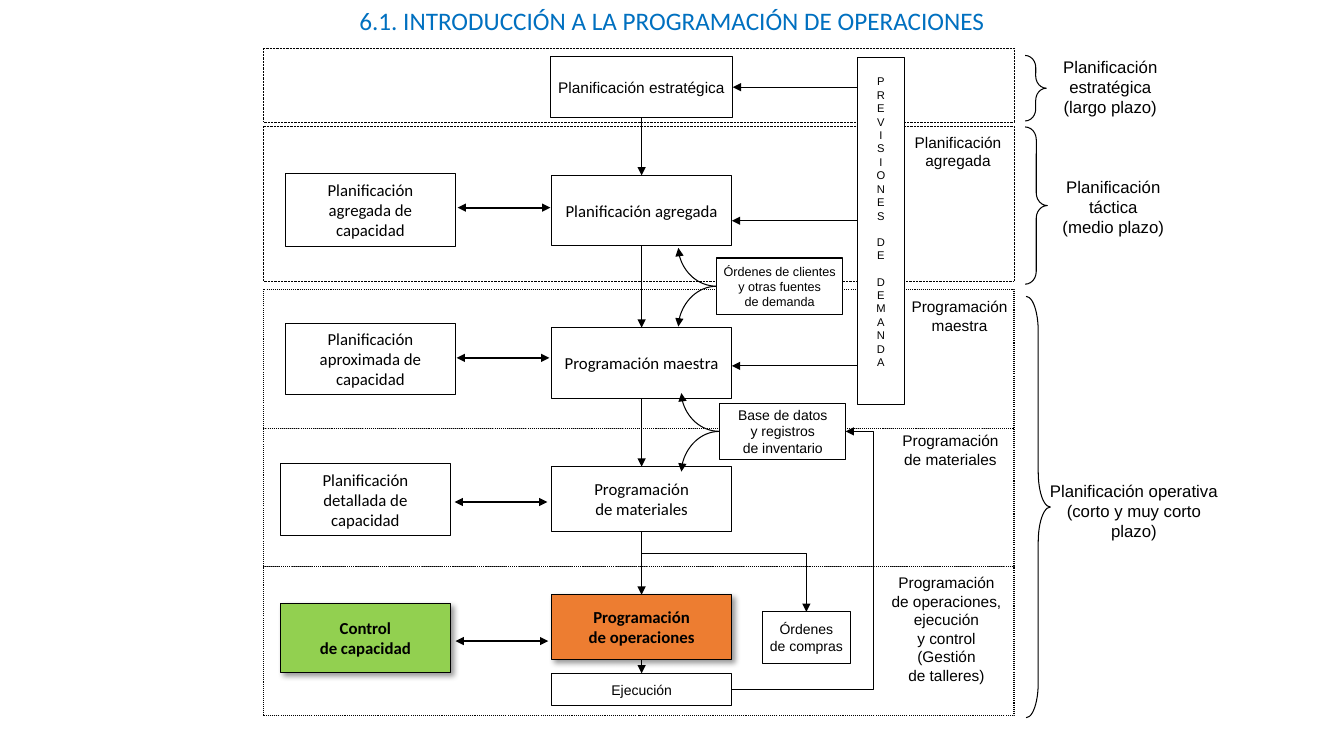
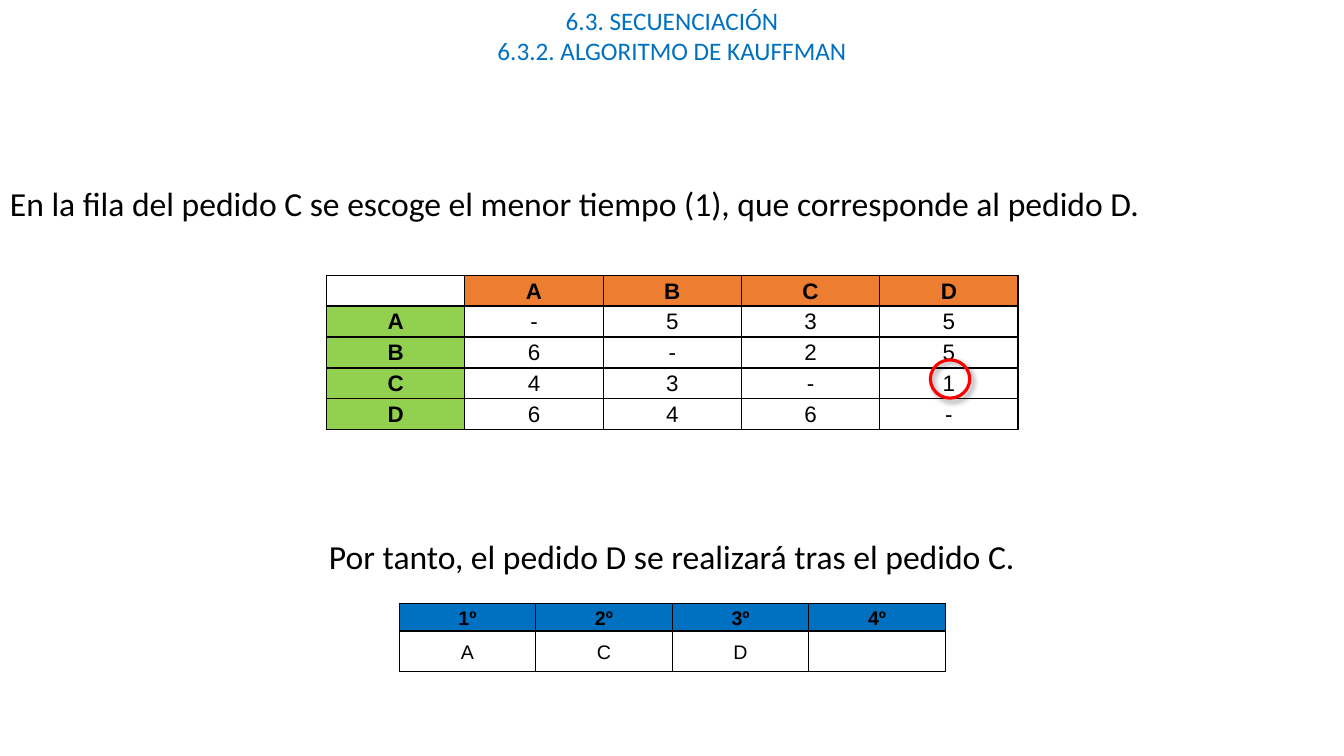
from dataclasses import dataclass
from typing import Any, Optional

from lxml import etree
from pptx import Presentation, util as u
from pptx.dml.color import RGBColor
from pptx.enum import dml, shapes, text
from pptx.oxml import ns

# All lengths are columns and rows of a grid with ten cells to the inch.
CELL = u.Inches(0.1)
COLUMNS, ROWS = 133.33, 75
TRUNK = 63.65  # column of the vertical flow


@dataclass(frozen=True)
class Theme:
    blue: str = "0070C0"
    orange: str = "ED7D31"
    green: str = "92D050"
    red: str = "FF0000"
    ink: str = "000000"
    paper: str = "FFFFFF"
    sans: str = "Calibri"
    plain: str = "Arial"
    title: int = 18
    statement: int = 24
    step: int = 12
    label: int = 11
    detail: int = 10
    note: int = 9
    letter: int = 8
    thin: float = 0.75
    thick: float = 1.5


THEME = Theme()


@dataclass(frozen=True)
class Area:
    left: float
    top: float
    width: float
    height: float

    def emu(self) -> list[int]:
        return [grid(n) for n in (self.left, self.top, self.width, self.height)]


@dataclass(frozen=True)
class Band:
    top: float
    height: float
    weight: float = THEME.thin
    label: str = ""
    label_area: Optional[Area] = None


@dataclass(frozen=True)
class Step:
    key: str
    words: str
    area: Area
    font: str = THEME.sans
    size: int = THEME.step
    fill: str = THEME.paper
    raised: bool = False


@dataclass(frozen=True)
class Horizon:
    brace: Area
    curl: float
    words: str
    area: Area


@dataclass(frozen=True)
class Arrow:
    start: tuple[float, float]
    end: tuple[float, float]
    preset: str = "line"
    bend: Optional[int] = None
    double: bool = False


BANDS = [
    Band(4.8, 7.3, 0.5),
    Band(12.5, 15.4, 0.5, "Planificación\nagregada", Area(89.7, 12.7, 10.7, 4.7)),
    Band(28.7, 13.8, label="Programación\nmaestra", label_area=Area(89.4, 29, 11.6, 4.7)),
    Band(42.5, 13.7, label="Programación\nde materiales", label_area=Area(88.5, 42.3, 11.6, 4.7)),
    Band(56.2, 14.8, label="Programación\nde operaciones,\nejecución\ny control\n(Gestión\nde talleres)",
         label_area=Area(87.4, 56.4, 13, 12.1)),
]

STEPS = [
    Step("strategy", "Planificación estratégica", Area(54.6, 5.6, 18.1, 6.1), THEME.plain, THEME.label),
    Step("aggregate", "Planificación agregada", Area(54.7, 17.4, 17.9, 7)),
    Step("master", "Programación maestra", Area(54.7, 32.5, 17.9, 7)),
    Step("materials", "Programación\nde materiales", Area(54.7, 46.3, 17.9, 6.4)),
    Step("operations", "Programación\nde operaciones", Area(54.7, 59, 17.9, 6.4),
         fill=THEME.orange, raised=True),
    Step("execution", "Ejecución", Area(54.7, 66.8, 17.9, 3.2), THEME.plain, THEME.detail),
    Step("aggregate capacity", "Planificación\nagregada de\ncapacidad", Area(28.3, 17.2, 16.9, 7.3)),
    Step("rough capacity", "Planificación\naproximada de\ncapacidad", Area(28.3, 32.1, 16.9, 7)),
    Step("detailed capacity", "Planificación\ndetallada de\ncapacidad", Area(27.8, 46, 16.9, 7.1)),
    Step("capacity control", "Control\nde capacidad", Area(27.8, 59.9, 16.9, 6.8),
         fill=THEME.green, raised=True),
    Step("customer orders", "Órdenes de clientes\ny otras fuentes\nde demanda",
         Area(71.1, 25.6, 12.5, 5.6), THEME.plain, THEME.note),
    Step("inventory", "Base de datos\ny registros\nde inventario",
         Area(71.4, 40, 12.5, 5.6), THEME.plain, THEME.detail),
    Step("purchases", "Órdenes\nde compras", Area(75.6, 60.7, 8.8, 5.1), THEME.plain, THEME.detail),
]
FLOW = ["strategy", "aggregate", "master", "materials", "operations", "execution"]

FORECAST = Area(85.1, 5.7, 4.6, 34.4)
FORECAST_WORDS = ["PREVISIONES", "DE", "DEMANDA"]

HORIZONS = [
    Horizon(Area(101.7, 5.5, 2.1, 6.5), 0.57, "Planificación estratégica\n(largo plazo)",
            Area(102.2, 5.1, 15.9, 7.1)),
    Horizon(Area(101.7, 12.6, 2.2, 15.6), 0.57, "Planificación táctica\n(medio plazo)",
            Area(102.5, 17, 15.9, 7.1)),
    Horizon(Area(101.8, 29.4, 2.4, 41.8), 1.44, "Planificación operativa\n(corto y muy corto plazo)",
            Area(102.8, 47.2, 19.4, 7.1)),
]

ARROWS = [
    *(Arrow((left, row), (left + 9.2, row), double=True)
      for left, row in [(45.4, 20.6), (45.3, 35.5), (45.1, 49.8), (45.2, 63.6)]),
    *(Arrow((85.1, row), (72.6, row)) for row in (21.9, 36.3)),
    *(Arrow((left, row), (left - 3.8, row + rise), "curvedConnector2")
      for left, row in [(71.1, 28.4), (71.4, 42.8)] for rise in (-3.8, 4)),
    Arrow((TRUNK, 54.9), (80, 60.7), "bentConnector2"),
    Arrow((72.6, 68.4), (83.9, 42.8), "bentConnector3", bend=124200),
]

TIMES = [["", "A", "B", "C", "D"],
         ["A", "-", "5", "3", "5"],
         ["B", "6", "-", "2", "5"],
         ["C", "4", "3", "-", "1"],
         ["D", "6", "4", "6", "-"]]
SEQUENCE = [["1º", "2º", "3º", "4º"], ["A", "C", "D", ""]]


def grid(cells: float) -> int:
    return round(cells * CELL)


def rgb(value: str) -> RGBColor:
    return RGBColor.from_string(value)


def add_xml(parent: Any, tag: str, **attributes: Any) -> Any:
    child = etree.SubElement(parent, ns.qn(tag))
    for name, value in attributes.items():
        child.set(name, str(value))
    return child


def write(frame: Any, words: str, *, font: str = THEME.sans, size: int = THEME.step,
          color: str = THEME.ink, bold: bool = False, align: Any = text.PP_ALIGN.CENTER,
          spacing: Optional[float] = None) -> None:
    """Fill a text frame with one paragraph for each line of words."""
    for index, line in enumerate(words.split("\n")):
        paragraph = frame.add_paragraph() if index else frame.paragraphs[0]
        paragraph.alignment = align
        if spacing:
            paragraph.line_spacing = spacing
        run = paragraph.add_run()
        run.text = line
        run.font.name, run.font.size, run.font.bold = font, u.Pt(size), bold
        run.font.color.rgb = rgb(color)


def add_words(slide: Any, area: Area, words: str, *, wrap: bool = True, **style: Any) -> None:
    frame = slide.shapes.add_textbox(*area.emu()).text_frame
    frame.word_wrap = wrap
    frame.auto_size = text.MSO_AUTO_SIZE.SHAPE_TO_FIT_TEXT
    write(frame, words, **style)


def add_title(slide: Any, words: str, height: float) -> None:
    add_words(slide, Area(0, 0, COLUMNS, height), words, size=THEME.title, color=THEME.blue)


def add_outline(slide: Any, kind: Any, area: Area, *, fill: Optional[str] = None,
                line: str = THEME.ink, weight: float = THEME.thin, raised: bool = False) -> Any:
    shape = slide.shapes.add_shape(kind, *area.emu())
    if fill:
        shape.fill.solid()
        shape.fill.fore_color.rgb = rgb(fill)
    else:
        shape.fill.background()
    shape.line.color.rgb = rgb(line)
    shape.line.width = u.Pt(weight)
    shape.shadow.inherit = False
    if raised:
        effects = shape._element.spPr.find(ns.qn("a:effectLst"))
        shadow = add_xml(effects, "a:outerShdw", blurRad=u.Pt(4), dist=u.Pt(3), dir=2700000,
                         algn="tl", rotWithShape=0)
        add_xml(add_xml(shadow, "a:srgbClr", val=THEME.ink), "a:alpha", val=40000)
    return shape


def add_step(slide: Any, step: Step) -> Any:
    box = add_outline(slide, shapes.MSO_SHAPE.RECTANGLE, step.area, fill=step.fill, raised=step.raised)
    box.text_frame.word_wrap = False
    box.text_frame.vertical_anchor = text.MSO_ANCHOR.MIDDLE
    write(box.text_frame, step.words, font=step.font, size=step.size, bold=step.raised)
    return box


def add_arrow(slide: Any, arrow: Arrow) -> Any:
    link = slide.shapes.add_connector(shapes.MSO_CONNECTOR.STRAIGHT,
                                      *(grid(n) for n in arrow.start + arrow.end))
    link.line.color.rgb = rgb(THEME.ink)
    link.line.width = u.Pt(THEME.thick if arrow.double else THEME.thin)
    properties = link._element.spPr
    geometry = properties.find(ns.qn("a:prstGeom"))
    geometry.set("prst", arrow.preset)
    if arrow.bend is not None:
        guides = geometry.find(ns.qn("a:avLst"))
        add_xml(guides, "a:gd", name="adj1", fmla=f"val {arrow.bend}")
    outline = properties.find(ns.qn("a:ln"))
    if arrow.double:
        add_xml(outline, "a:headEnd", type="triangle")
    add_xml(outline, "a:tailEnd", type="triangle")
    add_xml(properties, "a:effectLst")
    return link


def add_forecast(slide: Any) -> Any:
    """Draw the tall box whose words run downwards, one letter a line."""
    box = add_outline(slide, shapes.MSO_SHAPE.RECTANGLE, FORECAST, fill=THEME.paper)
    frame = box.text_frame
    frame.vertical_anchor = text.MSO_ANCHOR.MIDDLE
    frame.margin_bottom = grid(2.3)
    write(frame, "\n".join("".join(FORECAST_WORDS)), font=THEME.plain, size=THEME.letter)
    first = 0
    for word in FORECAST_WORDS[:-1]:
        first += len(word)
        frame.paragraphs[first].space_before = u.Pt(9.2)
    return box


def add_grid(slide: Any, area: Area, values: list[list[str]], heights: list[float], *,
             size: int, head: str, side: Optional[str] = None, anchor: Any = None) -> None:
    """Draw a bordered table with a coloured head row and, if side is set, a coloured first column."""
    table = slide.shapes.add_table(len(values), len(values[0]), *area.emu()).table
    table.first_row = table.horz_banding = False
    for column in table.columns:
        column.width = grid(area.width / len(values[0]))
    for r, row in enumerate(values):
        table.rows[r].height = grid(heights[r])
        for c, value in enumerate(row):
            cell = table.cell(r, c)
            cell.margin_left = cell.margin_right = grid(0.7)
            cell.margin_top = cell.margin_bottom = 0
            cell.vertical_anchor = anchor
            for edge in ("a:lnL", "a:lnR", "a:lnT", "a:lnB"):
                border = add_xml(cell._tc.get_or_add_tcPr(), edge, w=u.Pt(1))
                add_xml(add_xml(border, "a:solidFill"), "a:srgbClr", val=THEME.ink)
            color = head if r == 0 else side if c == 0 else None
            if value and color:
                cell.fill.solid()
                cell.fill.fore_color.rgb = rgb(color)
            else:
                cell.fill.background()
            if value:
                write(cell.text_frame, value, font=THEME.plain, size=size,
                      bold=color is not None, spacing=1.15)


def draw_planning(slide: Any) -> None:
    add_title(slide, "6.1. INTRODUCCIÓN A LA PROGRAMACIÓN DE OPERACIONES", 4)
    for band in BANDS:
        frame = add_outline(slide, shapes.MSO_SHAPE.RECTANGLE, Area(26.1, band.top, 74.5, band.height),
                            fill=THEME.paper, weight=band.weight)
        frame.line.dash_style = dml.MSO_LINE.ROUND_DOT
    for band in BANDS:
        if band.label_area:
            add_words(slide, band.label_area, band.label, wrap=False, font=THEME.plain, size=THEME.label)
    add_forecast(slide)
    boxes = {step.key: add_step(slide, step) for step in STEPS}
    for upper, lower in zip(FLOW, FLOW[1:]):
        link = add_arrow(slide, Arrow((TRUNK, 0), (TRUNK, 1)))
        link.begin_connect(boxes[upper], 2)
        link.end_connect(boxes[lower], 0)
    add_arrow(slide, Arrow((85.1, 8.65), (72.7, 8.65))).end_connect(boxes["strategy"], 3)
    for arrow in ARROWS:
        add_arrow(slide, arrow)
    for horizon in HORIZONS:
        brace = add_outline(slide, shapes.MSO_SHAPE.RIGHT_BRACE, horizon.brace)
        brace.adjustments[0] = horizon.curl
        add_words(slide, horizon.area, horizon.words, font=THEME.plain)


def draw_sequencing(slide: Any) -> None:
    add_title(slide, "6.3. SECUENCIACIÓN\n6.3.2. ALGORITMO DE KAUFFMAN", 7.1)
    add_words(slide, Area(0, 17.7, COLUMNS, 5),
              "En la fila del pedido C se escoge el menor tiempo (1), que corresponde al pedido D.",
              size=THEME.statement, align=text.PP_ALIGN.JUSTIFY)
    add_grid(slide, Area(32.4, 27.3, 68.6, 15.35), TIMES, [3.07] * len(TIMES),
             size=16, head=THEME.orange, side=THEME.green)
    add_outline(slide, shapes.MSO_SHAPE.OVAL, Area(92.3, 35.7, 3.9, 3.8),
                line=THEME.red, weight=2.25, raised=True)
    add_words(slide, Area(30.2, 52.7, 72.9, 5), "Por tanto, el pedido D se realizará tras el pedido C.",
              size=THEME.statement)
    add_grid(slide, Area(39.6, 59.9, 54.2, 6.7), SEQUENCE, [2.7, 4],
             size=14, head=THEME.blue, anchor=text.MSO_ANCHOR.MIDDLE)


def main() -> None:
    deck = Presentation()
    deck.slide_width, deck.slide_height = grid(COLUMNS), grid(ROWS)
    blank = deck.slide_layouts[6]
    for draw in (draw_planning, draw_sequencing):
        draw(deck.slides.add_slide(blank))
    deck.save("out.pptx")


if __name__ == "__main__":
    main()
